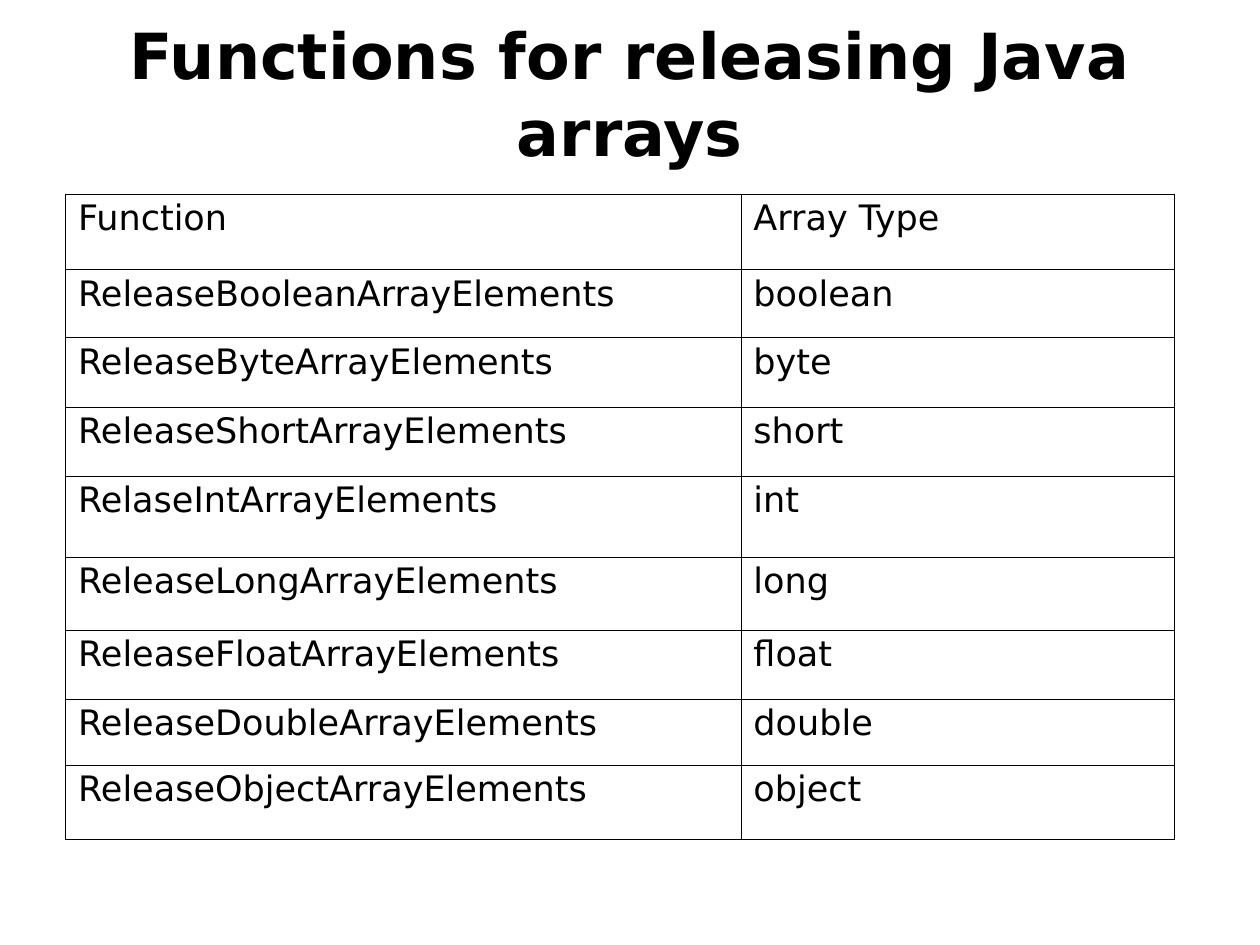
from lxml import etree
from pptx import Presentation
from pptx.dml.color import RGBColor
from pptx.enum.text import MSO_ANCHOR, PP_ALIGN
from pptx.oxml.ns import qn
from pptx.util import Inches, Pt

CENTER = PP_ALIGN.CENTER
MIDDLE = MSO_ANCHOR.MIDDLE
BLACK = RGBColor(0, 0, 0)
FONT = "DejaVu Sans"
OUTER, INNER = Pt(0.5), Pt(0.23)

TITLE = "Functions for releasing Java arrays"
ROWS = [
    ("Function", "Array Type"),
    ("ReleaseBooleanArrayElements", "boolean"),
    ("ReleaseByteArrayElements", "byte"),
    ("ReleaseShortArrayElements", "short"),
    ("RelaseIntArrayElements", "int"),
    ("ReleaseLongArrayElements", "long"),
    ("ReleaseFloatArrayElements", "float"),
    ("ReleaseDoubleArrayElements", "double"),
    ("ReleaseObjectArrayElements", "object"),
]
COLUMN_WIDTHS = [5.36, 3.44]
ROW_HEIGHTS = [0.6, 0.54, 0.55, 0.55, 0.64, 0.58, 0.55, 0.52, 0.59]


def set_font(para, size, bold=False):
    para.font.name = FONT
    para.font.size = Pt(size)
    para.font.bold = bold
    para.font.color.rgb = BLACK


def add_title(page, left, top, width, height):
    box = page.shapes.add_textbox(*map(Inches, (left, top, width, height)))
    frame = box.text_frame
    frame.word_wrap = True
    frame.vertical_anchor = MIDDLE
    frame.margin_left = frame.margin_right = 0
    frame.margin_top = frame.margin_bottom = 0
    para = frame.paragraphs[0]
    para.text = TITLE
    para.alignment = CENTER
    set_font(para, 36.3, bold=True)


def set_borders(cell, widths):
    """Draw the left, right, top and bottom edges, in that order."""
    properties = cell._tc.get_or_add_tcPr()
    for position, (side, width) in enumerate(zip("LRTB", widths)):
        line = etree.Element(qn(f"a:ln{side}"), w=str(width))
        fill = etree.SubElement(line, qn("a:solidFill"))
        etree.SubElement(fill, qn("a:srgbClr"), val=str(BLACK))
        properties.insert(position, line)


def add_function_table(page, left, top):
    size = (sum(COLUMN_WIDTHS), sum(ROW_HEIGHTS))
    frame = page.shapes.add_table(
        len(ROWS), len(COLUMN_WIDTHS), *map(Inches, (left, top, *size)))
    table = frame.table
    table.first_row = table.horz_banding = False
    for column, width in zip(table.columns, COLUMN_WIDTHS):
        column.width = Inches(width)
    for row, height in zip(table.rows, ROW_HEIGHTS):
        row.height = Inches(height)

    last_row, last_column = len(ROWS) - 1, len(COLUMN_WIDTHS) - 1
    for r, texts in enumerate(ROWS):
        for c, text in enumerate(texts):
            cell = table.cell(r, c)
            cell.fill.background()
            para = cell.text_frame.paragraphs[0]
            para.text = text
            para.line_spacing = 0.93
            para.space_before = Pt(7)
            set_font(para, 20)
            # Outside edges are heavier than the grid lines
            on_outside = (c == 0, c == last_column, r == 0, r == last_row)
            set_borders(cell, [OUTER if edge else INNER for edge in on_outside])


def main():
    deck = Presentation()
    deck.slide_width, deck.slide_height = Inches(10), Inches(7.5)
    page = deck.slides.add_slide(deck.slide_layouts[6])
    add_function_table(page, 0.52, 1.54)
    add_title(page, 0.5, 0.15, 9, 1.17)
    deck.save("out.pptx")


if __name__ == "__main__":
    main()
